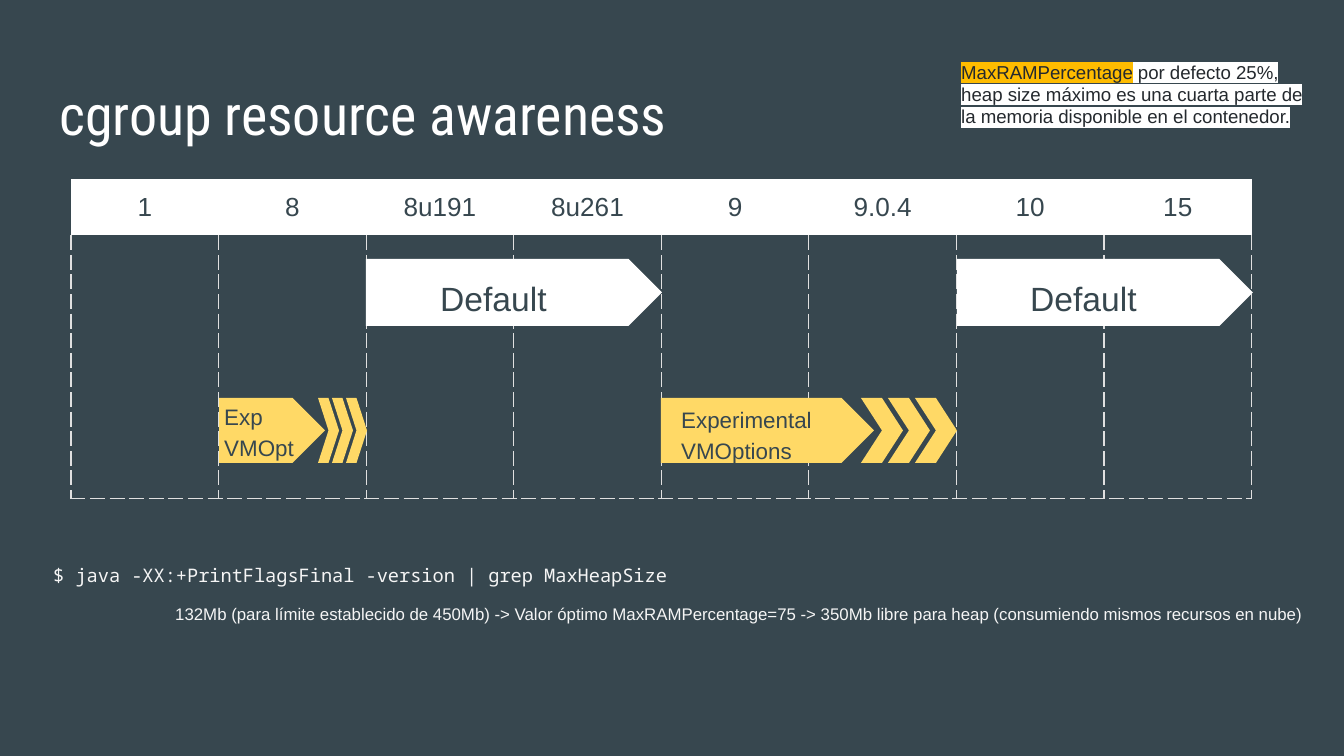
from lxml.etree import SubElement
from pptx import Presentation
from pptx.dml.color import RGBColor
from pptx.enum.shapes import MSO_SHAPE as Preset
from pptx.enum.text import MSO_ANCHOR as Anchor, PP_ALIGN as Align
from pptx.oxml import parse_xml
from pptx.oxml.ns import nsdecls, qn
from pptx.util import Pt

PX = 914400 / 134.4
SLATE, WHITE, YELLOW, PALE = "37474F", "FFFFFF", "FFD966", "F5F5F5"


def px(*lengths):
    return [round(length * PX) for length in lengths]


def paint(target, color):
    """Give a fill or a font one solid colour."""
    fill = getattr(target, "fill", target)
    fill.solid()
    fill.fore_color.rgb = RGBColor.from_string(color)


deck = Presentation()
deck.slide_width, deck.slide_height = px(1344, 756)
page = deck.slides.add_slide(deck.slide_layouts[6])
paint(page.background, SLATE)

# Version table
versions = ["1", "8", "8u191", "8u261", "9", "9.0.4", "10", "15"]
frame = page.shapes.add_table(2, len(versions), *px(71, 179, 1181, 310))
table = frame.table
table.first_row = table.horz_banding = False
style = table._tbl.tblPr.find(qn("a:tableStyleId"))
style.text = "{2D5ABB26-0587-4C30-8999-92F81FD0307C}"
table.rows[0].height, table.rows[1].height = px(47, 263)

for column, version in enumerate(versions):
    table.columns[column].width = px(1181 / len(versions))[0]
    header, body = table.cell(0, column), table.cell(1, column)
    for cell in (header, body):
        cell.margin_left, cell.margin_top, cell.margin_right, cell.margin_bottom = px(*[13.44] * 4)
    paint(header, WHITE)
    para = header.text_frame.paragraphs[0]
    para.alignment = Align.CENTER
    span = para.add_run()
    span.text = version
    span.font.name, span.font.size = "Arial", Pt(14)
    paint(span.font, SLATE)
    cell_format = body._tc.get_or_add_tcPr()
    for side in ("lnL", "lnR", "lnB"):
        cell_format.append(parse_xml(
            f'<a:{side} {nsdecls("a")} w="9525"><a:solidFill><a:srgbClr val="E0E0E0"/></a:solidFill>'
            f'<a:prstDash val="dash"/></a:{side}>'))
    body.fill.background()

# Arrows: preset, left, top, width, height, colour, by group
arrow_groups = [[(Preset.PENTAGON, left, 259, 296, 67, WHITE)] for left in (366, 957)]
for left, plate, chevron, step, right in [(219, 106, 21, 14, 367), (661, 213, 42, 27, 957)]:
    chevron_lefts = [right - chevron - back * step for back in (2, 1, 0)]
    arrow_groups.append(
        [(Preset.PENTAGON, left, 398, plate, 65, YELLOW)]
        + [(Preset.CHEVRON, start, 398, chevron, 65, YELLOW) for start in chevron_lefts])

for arrows in arrow_groups:
    home = page.shapes.add_group_shape().shapes if len(arrows) > 1 else page.shapes
    for preset, left, top, width, height, color in arrows:
        arrow = home.add_shape(preset, *px(left, top, width, height))
        arrow.shadow.inherit = False
        paint(arrow, color)
        arrow.line.fill.background()

# Texts: place, font, size, colour, line spacing, paragraphs of (text, highlight) spans
texts = [
    ((46, 66, 1252, 85), "Roboto Condensed", 30, WHITE, 1, [[("cgroup resource awareness", None)]]),
    ((427, 258, 179, 67), "Arial", 18, SLATE, 1.15, [[("Default", None)]]),
    ((1017, 258, 164, 67), "Arial", 18, SLATE, 1.15, [[("Default", None)]]),
    ((211, 386, 110, 67), "Arial", 12, SLATE, 1.15, [[("Exp", None)], [("VMOpt", None)]]),
    ((668, 389, 222, 65), "Arial", 12, SLATE, 1.15, [[("Experimental VMOptions", None)]]),
    ((948, 47, 384, 85), "Arial", 10, "24292E", 1, [[
        ("MaxRAMPercentage", "FFBC00"),
        (" por defecto 25%, heap size máximo es una cuarta parte de la memoria disponible"
         " en el contenedor.", WHITE)]]),
    ((40, 553, 749, 51), "Noto Sans Mono", 10, PALE, 1,
     [[("$ java -XX:+PrintFlagsFinal -version | grep MaxHeapSize", None)]]),
    ((162, 594, 1160, 130), "Arial", 9, PALE, 1, [[
        ("132Mb (para límite establecido de 450Mb) -> Valor óptimo MaxRAMPercentage=75"
         " -> 350Mb libre para heap (consumiendo mismos recursos en nube)", None)]]),
]
inset = px(13.44)[0]
frame_format = {"word_wrap": True, "vertical_anchor": Anchor.TOP, "margin_left": inset,
                "margin_top": inset, "margin_right": inset, "margin_bottom": inset}
for place, font, size, color, spacing, paragraphs in texts:
    box = page.shapes.add_textbox(*px(*place))
    for name, value in frame_format.items():
        setattr(box.text_frame, name, value)
    for index, spans in enumerate(paragraphs):
        para = box.text_frame.add_paragraph() if index else box.text_frame.paragraphs[0]
        para.line_spacing = spacing
        for text, highlight in spans:
            span = para.add_run()
            span.text = text
            span.font.size = Pt(size)
            paint(span.font, color)
            if highlight:
                marker = SubElement(span.font._element, qn("a:highlight"))
                SubElement(marker, qn("a:srgbClr"), val=highlight)
            span.font.name = font

deck.save("out.pptx")
